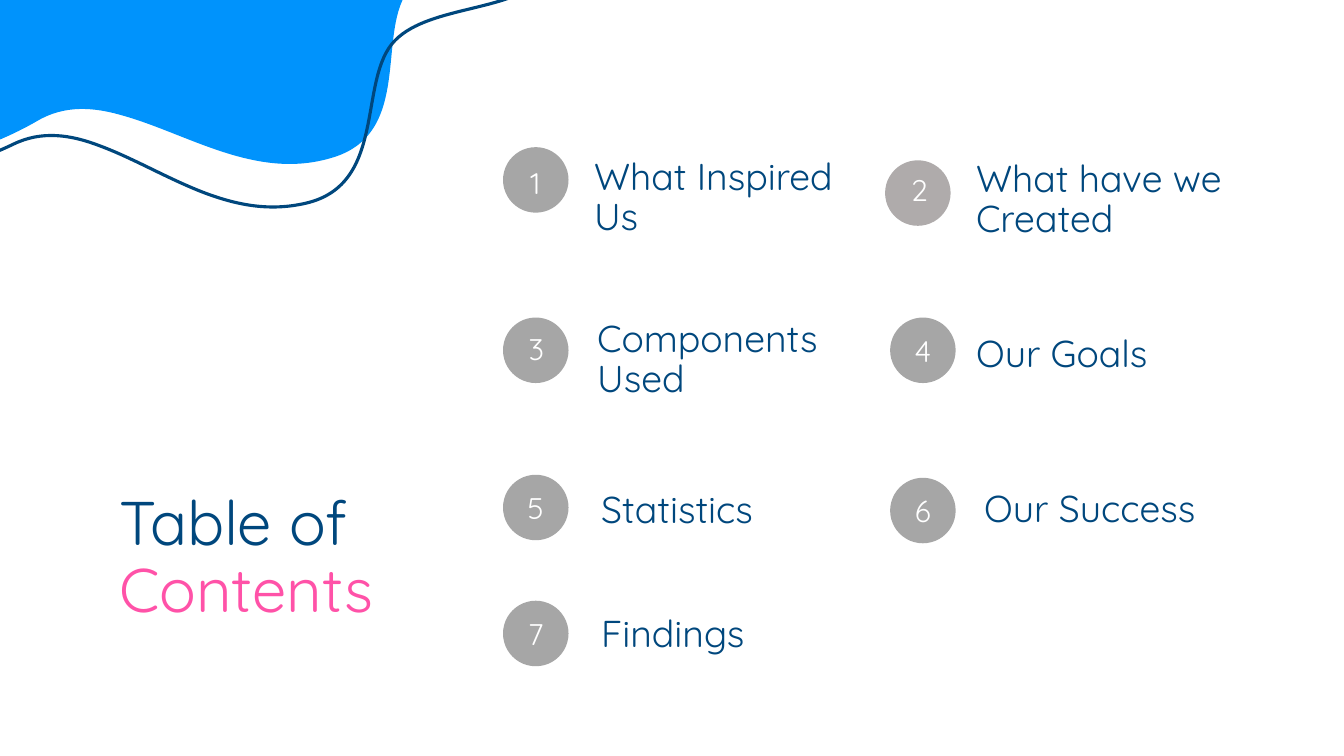
from math import cos, radians, sin

from lxml import etree
from pptx import Presentation
from pptx.dml.color import RGBColor
from pptx.enum.shapes import MSO_SHAPE as Shape
from pptx.enum.text import MSO_ANCHOR as Anchor, PP_ALIGN as Align
from pptx.oxml.ns import qn
from pptx.util import Pt

FONT, NAVY, PINK, BLUE = "Quicksand", "00477D", "FF52A8", "0093FC"


def color(hex_value):
    return RGBColor.from_string(hex_value)


def write(shape, text, size, hex_value, anchor, align=Align.LEFT, spacing=0.9):
    frame = shape.text_frame
    frame.word_wrap = True
    frame.vertical_anchor = anchor
    frame.margin_left = frame.margin_right = Pt(9.6)
    frame.margin_top = frame.margin_bottom = Pt(9.6)
    paragraph = frame.paragraphs[0]
    paragraph.alignment = align
    paragraph.line_spacing = spacing
    paragraph.add_run().text = text
    paragraph.font.name = FONT
    paragraph.font.size = Pt(size)
    paragraph.font.color.rgb = color(hex_value)
    return paragraph


presentation = Presentation()
presentation.slide_width, presentation.slide_height = Pt(960), Pt(540)
slide = presentation.slides.add_slide(presentation.slide_layouts[6])
shapes = slide.shapes

# Corner blob: a start point, then two control points and an end point per curve
blob = [
    (206.6, -425.5),
    (187.9, -431.3), (168.5, -434.2), (151.2, -434.9),
    (54, -438.5), (-4.3, -337.7), (-106.6, -360.7),
    (-199.4, -381.6), (-276.5, -333.4), (-252, -221),
    (-225.4, -98.6), (-339.8, -56.2), (-301.7, 57.6),
    (-293, 83.5), (-263.5, 103), (-223.9, 113.8),
    (-151.2, 134.6), (-45.4, 128.2), (26.6, 86.4),
    (46.1, 74.9), (67, 76.3), (88.6, 82.8),
    (113.8, 90), (139.7, 103), (167, 110.9),
    (190.1, 117.4), (213.1, 120.2), (238.3, 112.3),
    (295.9, 94.3), (267.8, 20.9), (293, -8.6),
    (316.1, -36), (378, -35.3), (396.7, -63.4),
    (434.2, -122.4), (337, -164.9), (352.1, -254.9),
    (367.2, -341.3), (286.6, -403.2), (206.6, -425.5),
]
center_x, center_y = 53.3, -138.6

# The line is the same blob, turned and moved down
for angle, shift, filled in [(0, 0, True), (4.4, 19.4, False)]:
    cosine, sine = cos(radians(angle)), sin(radians(angle))
    points = []
    for x, y in blob:
        dx, dy = x - center_x, y - center_y
        points.append((Pt(center_x + dx * cosine - dy * sine),
                       Pt(center_y + shift + dx * sine + dy * cosine)))
    builder = shapes.build_freeform(*points[0])
    builder.add_line_segments(points[1:], close=True)
    outline = builder.convert_to_shape()
    outline.shadow.inherit = False
    if filled:
        outline.fill.solid()
        outline.fill.fore_color.rgb = color(BLUE)
        outline.line.fill.background()
    else:
        outline.fill.background()
        outline.line.color.rgb = color(NAVY)
        outline.line.width = Pt(2.25)

    # Turn every three straight segments into one Bezier curve
    segments = list(outline._element.iter(qn("a:lnTo")))
    for start in range(0, len(blob) - 1, 3):
        curve = etree.Element(qn("a:cubicBezTo"))
        segments[start].addprevious(curve)
        for segment in segments[start:start + 3]:
            curve.append(segment[0])
            segment.getparent().remove(segment)

# Slide title
title_box = shapes.add_textbox(Pt(75.6), Pt(286.6), Pt(321.1), Pt(169.9))
title = write(title_box, "Table of ", 44, NAVY, Anchor.BOTTOM)
contents = title.add_run()
contents.text = "Contents"
contents.font.color.rgb = color(PINK)

# Entries: label, label box, circle corner, circle color, own number box if any
WIDE, NARROW = (215.3, 97.2), (149.8, 79.2)
GRAY, WARM_GRAY = "A6A6A6", "AFABAB"
entries = [
    ("What Inspired Us", (414.7, 82.8), WIDE, (359.3, 105.1), GRAY, (354.2, 122.4)),
    ("What have we Created", (687.6, 84.2), WIDE, (632.2, 114.5), WARM_GRAY, (628.6, 127.4)),
    ("Components Used", (416.9, 198.7), WIDE, (359.3, 226.8), GRAY, (355, 241.2)),
    ("Our Goals", (687.6, 198.7), NARROW, (635.8, 226.8), GRAY, None),
    ("Statistics", (419.8, 310.3), NARROW, (359.3, 339.1), GRAY, None),
    ("Our Success", (693.4, 291.6), WIDE, (635.8, 341.3), GRAY, None),
    ("Findings", (419.8, 380.9), WIDE, (359.3, 429.1), GRAY, None),
]
for number, (label, corner, size, circle_corner, gray, number_corner) in enumerate(entries, 1):
    circle = shapes.add_shape(Shape.OVAL, *map(Pt, circle_corner), Pt(46.8), Pt(46.8))
    circle.shadow.inherit = False
    circle.fill.solid()
    circle.fill.fore_color.rgb = color(gray)
    circle.line.fill.background()

    number_shape, spacing = circle, 1.0
    if number_corner:
        number_shape = shapes.add_textbox(*map(Pt, number_corner), Pt(56.2), Pt(19.4))
        spacing = 0.9
    write(number_shape, str(number), 21.3, "FFFFFF", Anchor.MIDDLE, Align.CENTER, spacing)

    label_box = shapes.add_textbox(*map(Pt, corner + size))
    write(label_box, label, 26.7, NAVY, Anchor.BOTTOM)

presentation.save("out.pptx")
